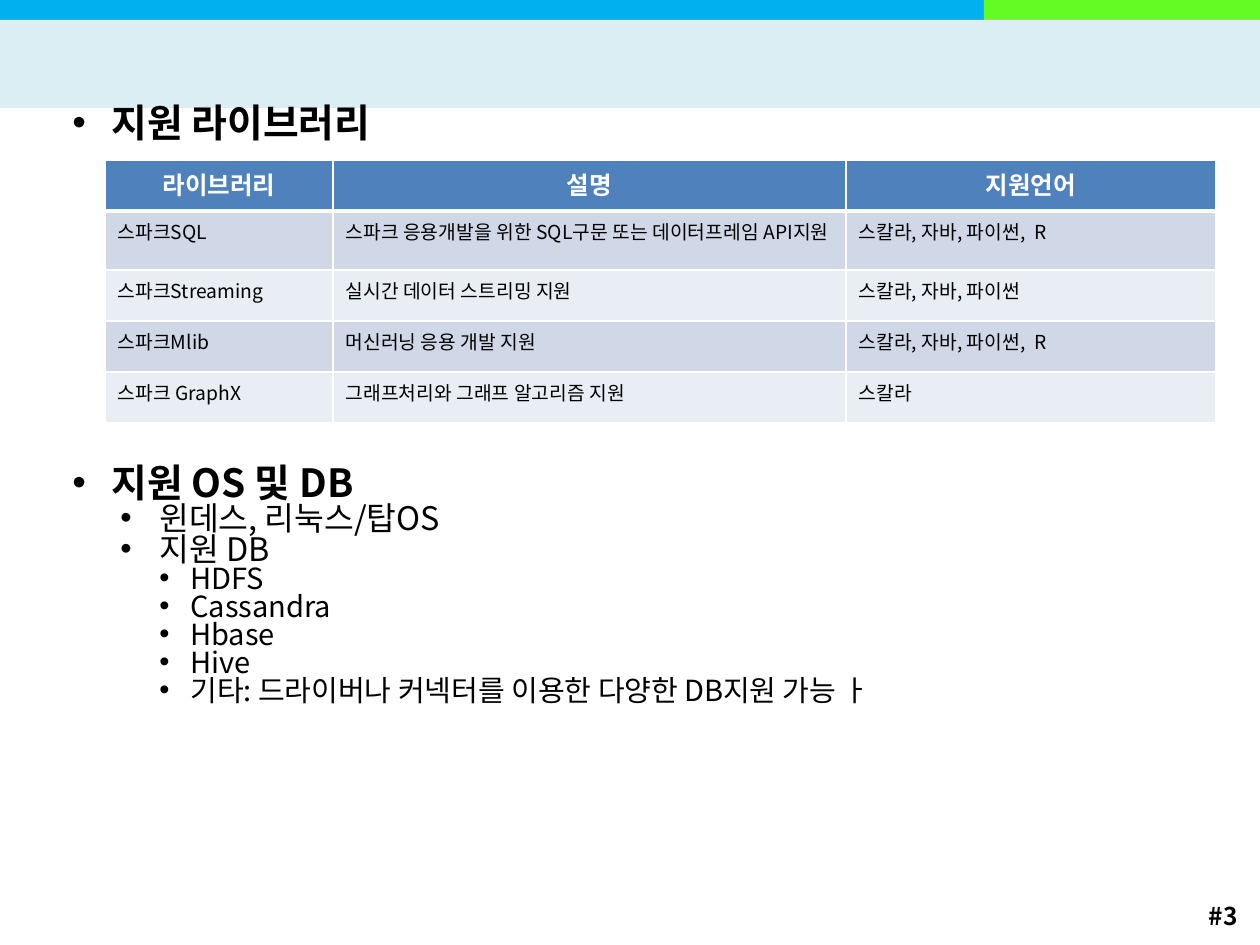
from lxml.etree import SubElement
from pptx import Presentation
from pptx.dml.color import RGBColor
from pptx.enum.shapes import MSO_SHAPE
from pptx.enum.text import MSO_ANCHOR, PP_ALIGN
from pptx.oxml.ns import qn
from pptx.util import Pt

PX = 914400 / 126
FONT = "Noto Sans CJK KR"

HEADER = ["라이브러리", "설명", "지원언어"]
LIBRARIES = [
    ["스파크SQL", "스파크 응용개발을 위한 SQL구문 또는 데이터프레임 API지원",
     "스칼라, 자바, 파이썬,  R"],
    ["스파크Streaming", "실시간 데이터 스트리밍 지원", "스칼라, 자바, 파이썬"],
    ["스파크Mlib", "머신러닝 응용 개발 지원", "스칼라, 자바, 파이썬,  R"],
    ["스파크 GraphX", "그래프처리와 그래프 알고리즘 지원", "스칼라"],
]
LIBRARY_OUTLINE = [(0, "지원 라이브러리")]
PLATFORM_OUTLINE = [
    (0, "지원 OS 및 DB"),
    (1, "윈데스, 리눅스/탑OS"),
    (1, "지원 DB"),
    (2, "HDFS"),
    (2, "Cassandra"),
    (2, "Hbase"),
    (2, "Hive"),
    (2, "기타: 드라이버나 커넥터를 이용한 다양한 DB지원 가능 ㅏ"),
]
# Per outline level: text size, left margin, hanging indent, bold
LEVELS = [(22.2, 39, 39, True), (18.5, 87, 39, False), (16.6, 118, 31, False)]


def px(value):
    return round(value * PX)


def color(value):
    return RGBColor.from_string(value)


def add_run(paragraph, text, size, ink="000000", bold=False):
    run = paragraph.add_run()
    run.text = text
    run.font.size = Pt(size)
    run.font.bold = bold
    run.font.name = FONT
    run.font.color.rgb = color(ink)
    SubElement(run.font._element, qn("a:ea"), typeface=FONT)


def add_text_frame(slide, box):
    frame = slide.shapes.add_textbox(*map(px, box)).text_frame
    frame.word_wrap = True
    frame.margin_top = frame.margin_bottom = 0
    return frame


def add_band(slide, box, fill):
    band = slide.shapes.add_shape(MSO_SHAPE.RECTANGLE, *map(px, box))
    band.shadow.inherit = False
    band.fill.solid()
    band.fill.fore_color.rgb = color(fill)
    band.line.fill.background()


def add_top_bands(slide, box):
    left, top, width, height = box
    strip, split = 20, 984
    add_band(slide, (left, top, split, strip), "01B0EF")
    add_band(slide, (left + split, top, width - split, strip), "62FC24")
    add_band(slide, (left, top + strip, width, height - strip), "DBEEF4")


def add_outline(slide, box, items):
    frame = add_text_frame(slide, box)
    for index, (level, text) in enumerate(items):
        paragraph = frame.add_paragraph() if index else frame.paragraphs[0]
        size, margin, hanging, bold = LEVELS[level]
        paragraph.level = level
        paragraph.line_spacing = 0.8
        properties = paragraph._p.get_or_add_pPr()
        properties.set("marL", str(px(margin)))
        properties.set("indent", str(-px(hanging)))
        SubElement(properties, qn("a:buFont"), typeface="Arial")
        SubElement(properties, qn("a:buChar"), char="•")
        add_run(paragraph, text, size, bold=bold)


def set_borders(cell, bottom_width):
    properties = cell._tc.get_or_add_tcPr()
    widths = {"a:lnL": 1, "a:lnR": 1, "a:lnT": 1, "a:lnB": bottom_width}
    for position, (tag, width) in enumerate(widths.items()):
        line = SubElement(properties, qn(tag), w=str(Pt(width)))
        fill = SubElement(line, qn("a:solidFill"))
        SubElement(fill, qn("a:srgbClr"), val="FFFFFF")
        properties.insert(position, line)


def add_library_table(slide, box):
    rows = [HEADER] + LIBRARIES
    table = slide.shapes.add_table(len(rows), len(HEADER), *map(px, box)).table
    for column, width in zip(table.columns, (228, 513, 370)):
        column.width = px(width)
    for row_index, texts in enumerate(rows):
        table.rows[row_index].height = px(51)
        is_header = row_index == 0
        fill = "4F81BD" if is_header else ("E9EDF4", "D0D8E8")[row_index % 2]
        for column_index, text in enumerate(texts):
            cell = table.cell(row_index, column_index)
            cell.fill.solid()
            cell.fill.fore_color.rgb = color(fill)
            set_borders(cell, 3 if is_header else 1)
            paragraph = cell.text_frame.paragraphs[0]
            if is_header:
                paragraph.alignment = PP_ALIGN.CENTER
                add_run(paragraph, text, 14, "FFFFFF", True)
            else:
                add_run(paragraph, text, 11)


def add_page_number(slide, box):
    frame = add_text_frame(slide, box)
    frame.vertical_anchor = MSO_ANCHOR.MIDDLE
    paragraph = frame.paragraphs[0]
    paragraph.alignment = PP_ALIGN.RIGHT
    add_run(paragraph, "#3", 14, bold=True)


def main():
    presentation = Presentation()
    presentation.slide_width = px(1260)
    presentation.slide_height = px(945)
    slide = presentation.slides.add_slide(presentation.slide_layouts[6])
    add_top_bands(slide, (0, 0, 1260, 108))
    add_outline(slide, (60, 108, 1140, 46), LIBRARY_OUTLINE)
    add_library_table(slide, (105, 160, 1111, 255))
    add_outline(slide, (60, 468, 1140, 371), PLATFORM_OUTLINE)
    add_page_number(slide, (1172, 896, 78, 39))
    presentation.save("out.pptx")


if __name__ == "__main__":
    main()
